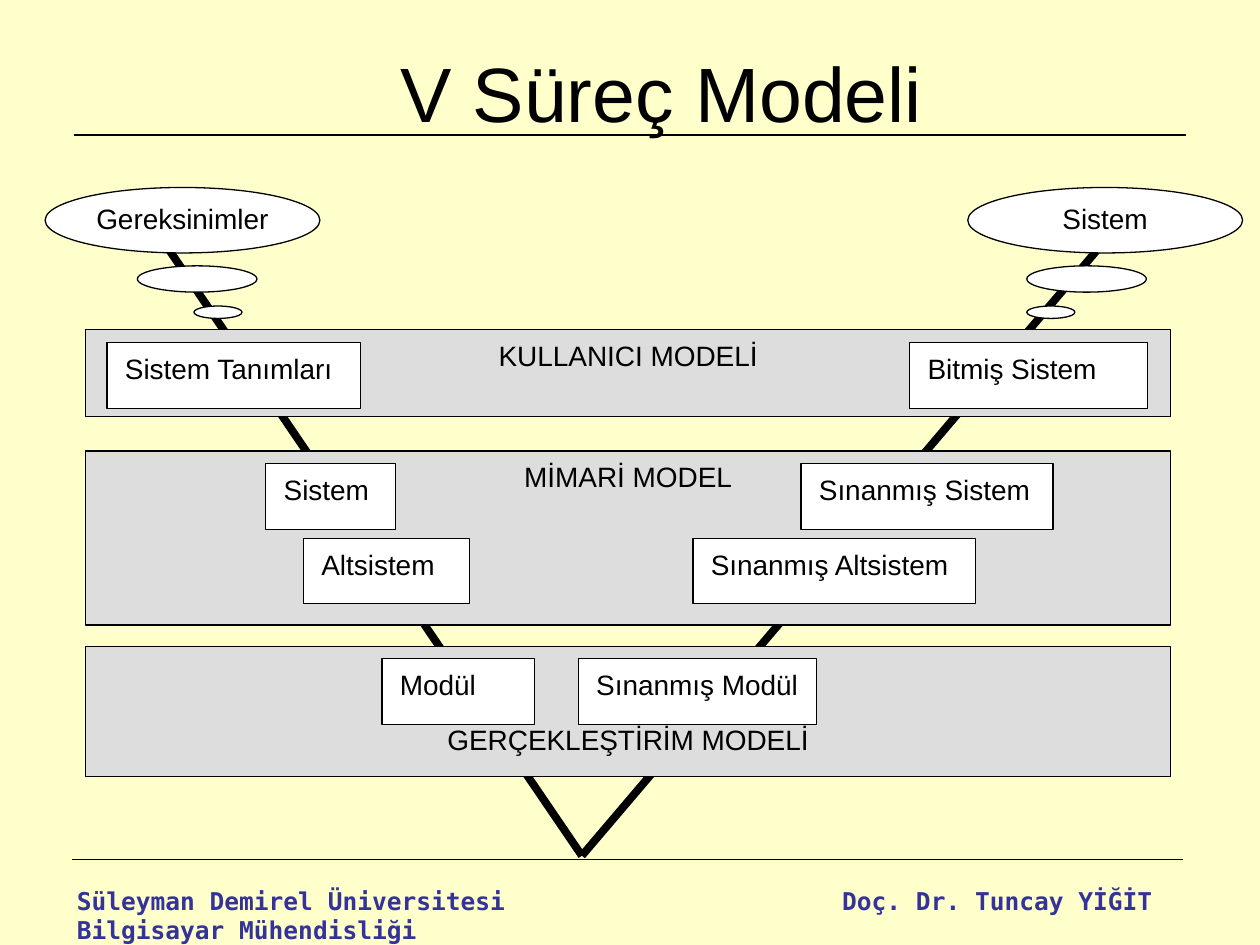
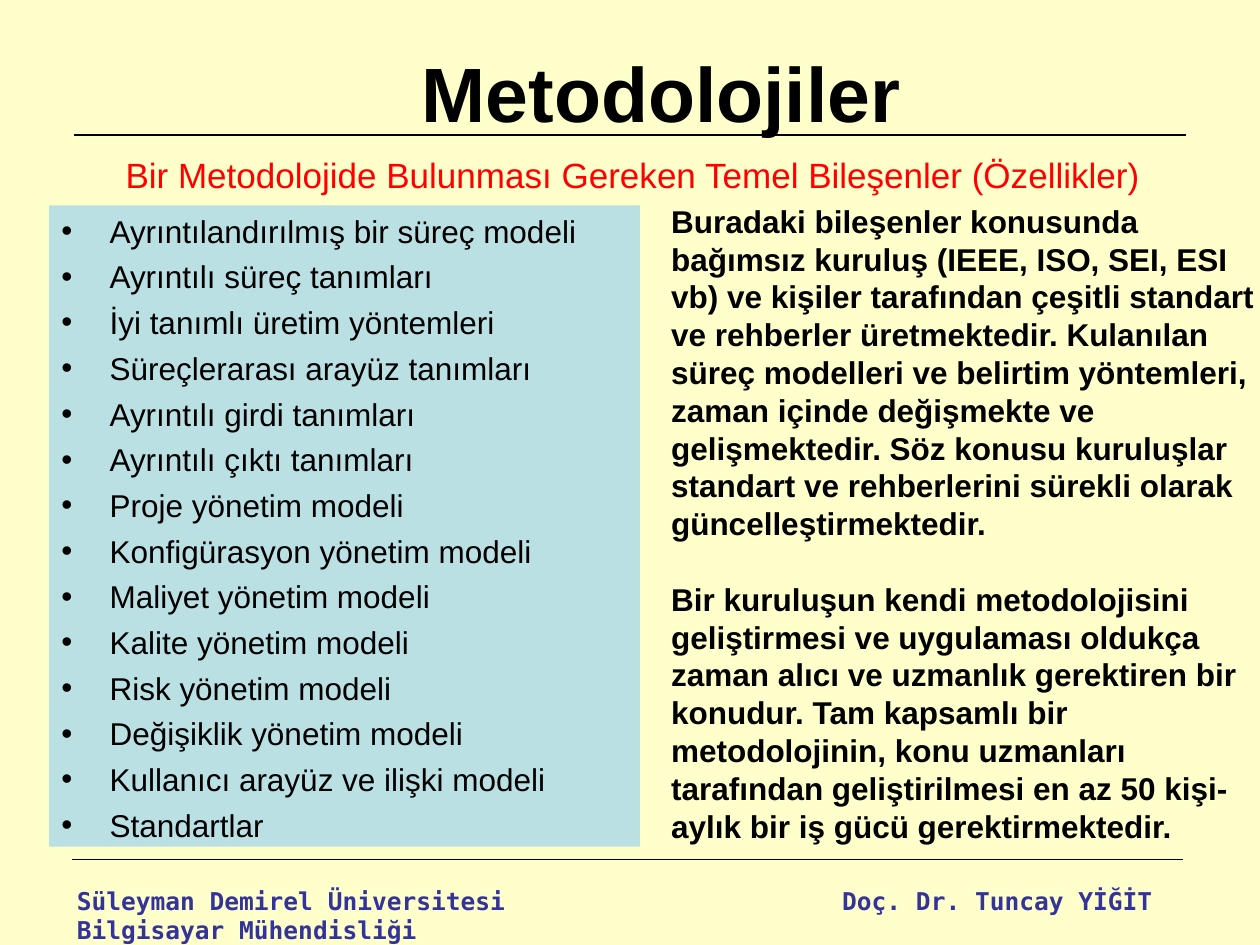
"""Build two slides on the V process model and on methodologies."""
from lxml.etree import SubElement as Sub
from pptx import Presentation as Deck
from pptx.dml.color import RGBColor as Rgb
from pptx.enum.shapes import MSO_CONNECTOR as Link, MSO_SHAPE as Form
from pptx.enum.text import MSO_ANCHOR as Anchor, PP_ALIGN as Align
from pptx.oxml.ns import qn
from pptx.util import Cm, Pt

HUES = {
    "page": "FFFFCC", "ink": "000000", "band": "DDDDDD", "box": "FFFFFF",
    "list": "BBE0E3", "foot": "333399", "alert": "FF0000",
}
SANS, MONO = "Arial", "DejaVu Sans Mono"
SNUG, WIDE, OVAL = (0.25, 0.13), (0.36, 0.18), (0.2, 0.1)


def hue(name):
    """Return a named colour."""
    return Rgb.from_string(HUES[name])


class Pen:
    """Hold the deck style and the current slide."""

    def __init__(self):
        """Start an empty deck with its page size and colour."""
        self.deck = Deck()
        self.deck.slide_width, self.deck.slide_height = Cm(25.4), Cm(19.05)
        fill = self.deck.slide_master.background.fill
        fill.solid()
        fill.fore_color.rgb = hue("page")

    def page(self, title, bold=False):
        """Start a slide with its title, rules and footer."""
        self.slide = self.deck.slides.add_slide(self.deck.slide_layouts[6])
        self.line((1.5, 2.72), (23.9, 2.72))
        self.line((1.45, 17.32), (23.85, 17.32))
        self.text((2.54, 0.76, 21.59, 2.16), [title], size=44, bold=bold,
                  align=Align.CENTER, anchor=Anchor.MIDDLE)
        foot = dict(size=14, font=MONO, color="foot", bold=True)
        self.text((1.3, 17.73, 10.8, 1.45),
                  ["Süleyman Demirel Üniversitesi Bilgisayar Mühendisliği"], **foot)
        self.text((15.9, 17.73, 7.59, 0.86), ["Doç. Dr. Tuncay YİĞİT"],
                  align=Align.RIGHT, **foot)

    def line(self, start, end, width=0.75):
        """Draw a straight black line."""
        line = self.slide.shapes.add_connector(
            Link.STRAIGHT, *(Cm(n) for n in start + end))
        line.line.color.rgb = hue("ink")
        line.line.width = Pt(width)
        Sub(line._element.spPr, qn("a:effectLst"))

    def shape(self, form, place, fill, edge=True):
        """Draw a filled preset shape."""
        shape = self.slide.shapes.add_shape(form, *map(Cm, place))
        shape.shadow.inherit = False
        shape.fill.solid()
        shape.fill.fore_color.rgb = hue(fill)
        if edge:
            shape.line.color.rgb = hue("ink")
            shape.line.width = Pt(0.75)
        else:
            shape.line.fill.background()
        return shape

    def text(self, place, lines, **style):
        """Add a text box."""
        box = self.slide.shapes.add_textbox(*map(Cm, place))
        return self.label(box, lines, **style)

    def label(self, shape, lines, size=16, font=SANS, color="ink", bold=False,
              align=Align.LEFT, anchor=Anchor.TOP, pad=SNUG, top=None):
        """Fill a shape with styled paragraphs and return them."""
        frame = shape.text_frame
        frame.word_wrap = True
        frame.vertical_anchor = anchor
        frame.margin_left = frame.margin_right = Cm(pad[0])
        frame.margin_top = Cm(top or pad[1])
        frame.margin_bottom = Cm(pad[1])
        frame.text = "\n".join(lines)
        for para in frame.paragraphs:
            para.alignment = align
            for run in para.runs:
                run.font.size, run.font.name = Pt(size), font
                run.font.bold, run.font.color.rgb = bold, hue(color)
        return frame.paragraphs

    def band(self, y, high, name, top=None):
        """Draw a wide grey band with a centred name."""
        band = self.shape(Form.RECTANGLE, (1.73, y, 21.87, high), "band")
        self.label(band, [name], align=Align.CENTER, pad=WIDE, top=top)

    def box(self, x, y, wide, name):
        """Draw a white step box."""
        box = self.shape(Form.RECTANGLE, (x, y, wide, 1.32), "box")
        self.label(box, [name], pad=WIDE)

    def cloud(self, name, *lefts):
        """Draw a named ellipse with two smaller ones below."""
        sizes = ((3.78, 5.54, 1.32), (5.36, 2.41, 0.53), (6.17, 0.97, 0.25))
        big, *_ = [self.shape(Form.OVAL, (x, *size), "box")
                   for x, size in zip(lefts, sizes)]
        self.label(big, [name], align=Align.CENTER, pad=OVAL)

    def bullets(self, place, lines):
        """Draw a filled panel of bulleted lines."""
        panel = self.shape(Form.RECTANGLE, place, "list", edge=False)
        for para in self.label(panel, lines, size=18):
            para.space_before = Pt(4.5)
            props = para._p.get_or_add_pPr()
            props.set("marL", str(Cm(0.97)))
            props.set("indent", str(-Cm(0.97)))
            tint = Sub(props, qn("a:buClr"))
            Sub(tint, qn("a:srgbClr"), val=HUES["ink"])
            Sub(props, qn("a:buFont"), typeface=SANS)
            Sub(props, qn("a:buChar"), char="•")


def model(pen):
    """Draw the V model slide."""
    pen.page("V Süreç Modeli")
    tip = (11.73, 17.25)
    for x in (3.28, 22.28):
        pen.line((x, 4.85), tip, 4.5)
    pen.band(6.65, 1.75, "KULLANICI MODELİ")
    pen.band(9.09, 3.51, "MİMARİ MODEL")
    pen.band(13.03, 2.62, "GERÇEKLEŞTİRİM MODELİ", top=1.53)
    steps = (
        (6.91, (2.16, 5.11, "Sistem Tanımları"), (18.34, 4.8, "Bitmiş Sistem")),
        (9.35, (5.36, 2.62, "Sistem"), (16.15, 5.08, "Sınanmış Sistem")),
        (10.85, (6.12, 3.35, "Altsistem"), (13.97, 5.69, "Sınanmış Altsistem")),
        (13.28, (7.7, 3.07, "Modül"), (11.66, 4.8, "Sınanmış Modül")),
    )
    for y, *pair in steps:
        for x, wide, name in pair:
            pen.box(x, y, wide, name)
    pen.cloud("Gereksinimler", 0.91, 2.77, 3.91)
    pen.cloud("Sistem", 19.51, 20.7, 20.7)


def method(pen):
    """Draw the methodologies slide."""
    pen.page("Metodolojiler", bold=True)
    head, = pen.text(
        (1.98, 2.21, 21.56, 2.74),
        ["Bir Metodolojide Bulunması Gereken Temel Bileşenler (Özellikler)"],
        size=20, color="alert", align=Align.CENTER, anchor=Anchor.MIDDLE)
    head.line_spacing = 0.85
    pen.bullets((0.99, 4.14, 11.91, 12.93), [
        "Ayrıntılandırılmış bir süreç modeli",
        "Ayrıntılı süreç tanımları",
        "İyi tanımlı üretim yöntemleri",
        "Süreçlerarası arayüz tanımları",
        "Ayrıntılı girdi tanımları",
        "Ayrıntılı çıktı tanımları",
        "Proje yönetim modeli",
        "Konfigürasyon yönetim modeli",
        "Maliyet yönetim modeli",
        "Kalite yönetim modeli",
        "Risk yönetim modeli",
        "Değişiklik yönetim modeli",
        "Kullanıcı arayüz ve ilişki modeli",
        "Standartlar",
    ])
    notes = pen.text((13.28, 3.94, 12.7, 13.21), [
        "Buradaki bileşenler konusunda bağımsız kuruluş (IEEE, ISO, SEI, ESI vb) "
        "ve kişiler tarafından çeşitli standart ve rehberler üretmektedir. "
        "Kulanılan süreç modelleri ve belirtim yöntemleri, zaman içinde "
        "değişmekte ve gelişmektedir. Söz konusu kuruluşlar standart ve "
        "rehberlerini sürekli olarak güncelleştirmektedir.",
        "Bir kuruluşun kendi metodolojisini geliştirmesi ve uygulaması oldukça "
        "zaman alıcı ve uzmanlık gerektiren bir konudur. Tam kapsamlı bir "
        "metodolojinin, konu uzmanları tarafından geliştirilmesi en az 50 "
        "kişi-aylık bir iş gücü gerektirmektedir.",
    ], size=18, bold=True)
    notes[1].space_before = Pt(21.6)


def main():
    """Build and save the deck."""
    pen = Pen()
    model(pen)
    method(pen)
    pen.deck.save("out.pptx")


if __name__ == "__main__":
    main()
